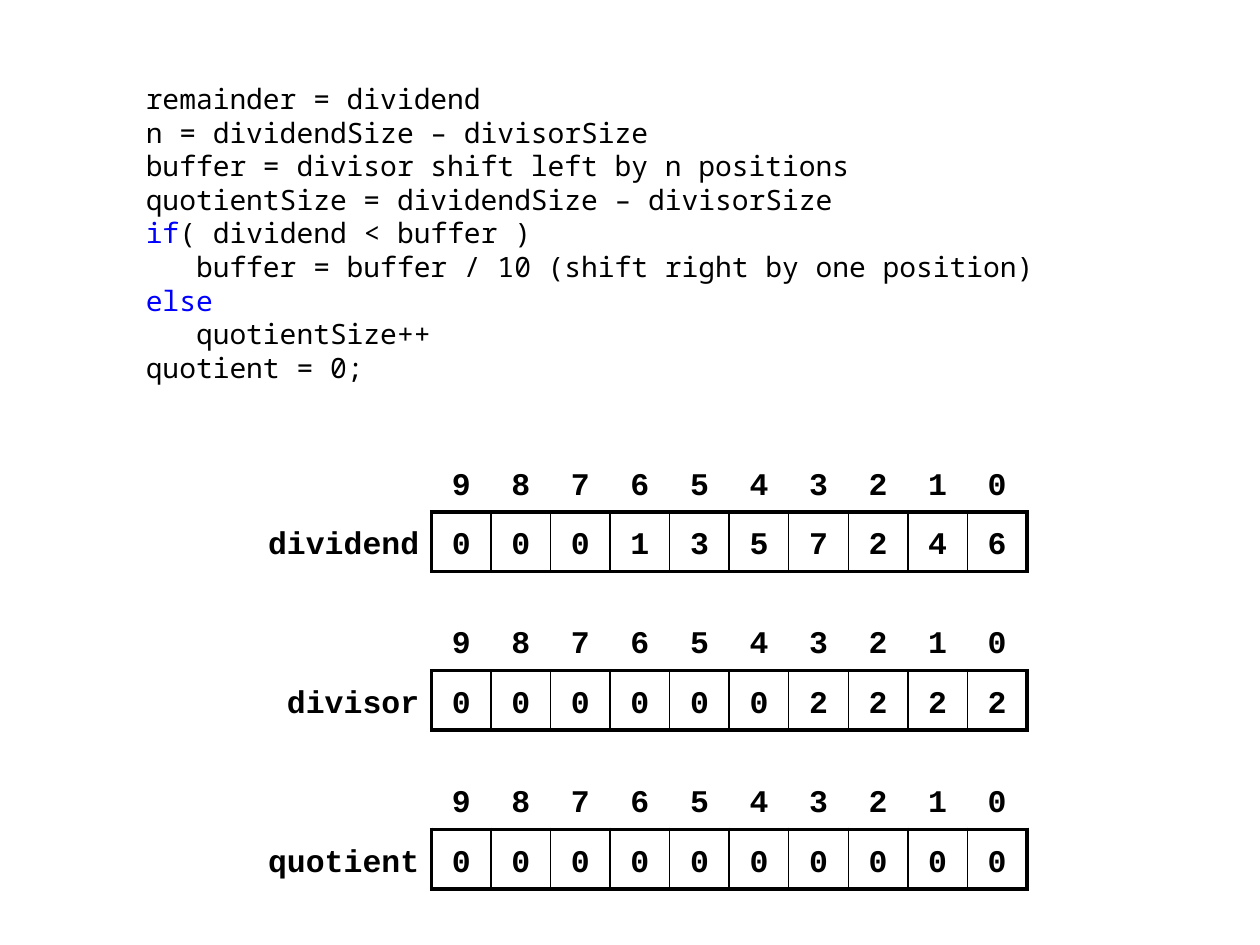
from dataclasses import dataclass

from lxml.etree import SubElement
from pptx import Presentation
from pptx.dml.color import RGBColor
from pptx.enum.text import MSO_ANCHOR, PP_ALIGN
from pptx.oxml.ns import qn
from pptx.util import Cm, Pt

PSEUDOCODE = [
    ("", "remainder = dividend"),
    ("", "n = dividendSize – divisorSize"),
    ("", "buffer = divisor shift left by n positions"),
    ("", "quotientSize = dividendSize – divisorSize"),
    ("if", "( dividend < buffer )"),
    ("", "   buffer = buffer / 10 (shift right by one position)"),
    ("else", ""),
    ("", "   quotientSize++"),
    ("", "quotient = 0;"),
]
POSITIONS = "9876543210"
REGISTERS = [
    ("dividend", "0001357246"),
    ("divisor", "0000002222"),
    ("quotient", "0000000000"),
]


@dataclass(frozen=True)
class Theme:
    """Colours, fonts and type sizes."""
    text: RGBColor = RGBColor(0, 0, 0)
    keyword: RGBColor = RGBColor(0, 0, 255)
    code_font: str = "Noto Sans Mono"
    code_size: Pt = Pt(16)
    code_leading: Pt = Pt(19.2)
    digit_font: str = "Courier New"
    digit_size: Pt = Pt(18)
    thick: Pt = Pt(2.25)
    thin: Pt = Pt(1)


THEME = Theme()
NO_STYLE = "{2D5ABB26-0587-4C30-8999-92F81FD0307C}"
LEFT, TOP, PITCH = Cm(4.7), Cm(9.12), Cm(3.2)
LABEL_W, CELL = Cm(4), Cm(1.2)


def add_code(slide):
    """Write the pseudocode, keywords in their own colour."""
    box = slide.shapes.add_textbox(Cm(2.69), Cm(1.52), Cm(18.42), Cm(6.4))
    tf = box.text_frame
    tf.word_wrap = True
    for i, (keyword, rest) in enumerate(PSEUDOCODE):
        p = tf.add_paragraph() if i else tf.paragraphs[0]
        p.font.name, p.font.size = THEME.code_font, THEME.code_size
        p.line_spacing = THEME.code_leading
        for text, color in ((keyword, THEME.keyword), (rest, THEME.text)):
            if text:
                r = p.add_run()
                r.text = text
                r.font.color.rgb = color


def set_borders(cell, widths):
    """Draw the given cell edges; a width of None leaves an edge bare."""
    tc_pr = cell._tc.get_or_add_tcPr()
    for edge, width in zip("LRTB", widths):
        if width:
            ln = SubElement(tc_pr, qn(f"a:ln{edge}"), w=str(int(width)))
            fill = SubElement(ln, qn("a:solidFill"))
            SubElement(fill, qn("a:srgbClr"), val=str(THEME.text))


def edge_widths(row, col, last):
    """Return left, right, top and bottom widths for a grid position."""
    thick, thin = THEME.thick, THEME.thin
    if row == 0:
        return None, None, None, thick if col else None
    if col == 0:
        return None, thick, None, None
    return (thick if col == 1 else thin, thick if col == last else thin,
            thick, thick)


def add_register(slide, top, label, digits):
    """Add one labelled register with its position numbers above."""
    rows = [["", *POSITIONS], [label, *digits]]
    last = len(digits)
    table = slide.shapes.add_table(2, last + 1, LEFT, top,
                                   LABEL_W + last * CELL, 2 * CELL).table
    table.first_row = table.horz_banding = False
    table._tbl.tblPr.find(qn("a:tableStyleId")).text = NO_STYLE
    for col, column in enumerate(table.columns):
        column.width = CELL if col else LABEL_W
    for i, texts in enumerate(rows):
        table.rows[i].height = CELL
        for col, text in enumerate(texts):
            cell = table.cell(i, col)
            cell.margin_left = cell.margin_right = Cm(0.25)
            cell.margin_top = cell.margin_bottom = Cm(0.1)
            cell.vertical_anchor = MSO_ANCHOR.MIDDLE
            set_borders(cell, edge_widths(i, col, last))
            cell.fill.background()
            p = cell.text_frame.paragraphs[0]
            p.text = text
            p.alignment = PP_ALIGN.CENTER if col else PP_ALIGN.RIGHT
            p.line_spacing = 1.25
            p.font.name, p.font.size = THEME.digit_font, THEME.digit_size
            p.font.bold = True
            p.font.color.rgb = THEME.text


prs = Presentation()
prs.slide_width, prs.slide_height = Cm(25.4), Cm(19.05)
slide = prs.slides.add_slide(prs.slide_layouts[6])
add_code(slide)
for i, (label, digits) in enumerate(REGISTERS):
    add_register(slide, TOP + i * PITCH, label, digits)
prs.save("out.pptx")
